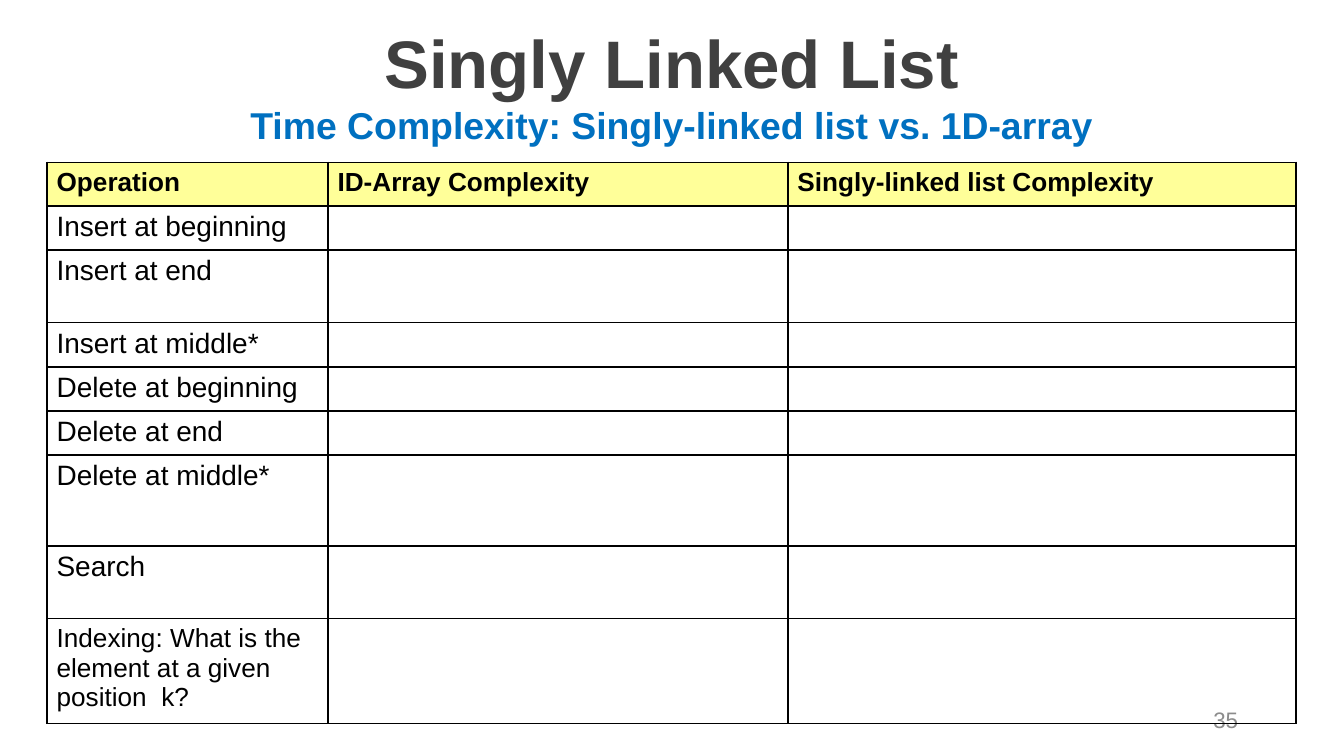
from lxml import etree
from pptx import Presentation
from pptx.dml.color import RGBColor
from pptx.enum import text
from pptx.oxml.ns import qn
from pptx.util import Cm, Pt

COLORS = {
    "title": "404040",
    "subtitle": "0070C0",
    "page": "8C8C8C",
    "ink": "000000",
    "header": "FFFF99",
}


def write(frame, words, size, color, bold=False, align=text.PP_ALIGN.LEFT):
    paragraph = frame.paragraphs[0]
    paragraph.alignment = align
    run = paragraph.add_run()
    run.text = words
    run.font.name = "Arial"
    run.font.size = Pt(size)
    run.font.bold = bold
    run.font.color.rgb = RGBColor.from_string(COLORS[color])


def add_borders(cell):
    properties = cell._tc.get_or_add_tcPr()
    for side in ("a:lnL", "a:lnR", "a:lnT", "a:lnB"):
        line = etree.SubElement(properties, qn(side), w=str(Pt(1)))
        fill = etree.SubElement(line, qn("a:solidFill"))
        etree.SubElement(fill, qn("a:srgbClr"), val=COLORS["ink"])


prs = Presentation()
prs.slide_width, prs.slide_height = Cm(25.4), Cm(14.29)
slide = prs.slides.add_slide(prs.slide_layouts[5])

# Headings
title = slide.shapes.title
title.left, title.top, title.width, title.height = Cm(0), Cm(0.36), Cm(25.4), Cm(1.6)
subtitle = slide.shapes.add_textbox(Cm(0), Cm(1.96), Cm(25.4), Cm(0.79))
for heading, words, size, color in (
    (title, "Singly Linked List", 36, "title"),
    (subtitle, "Time Complexity: Singly-linked list vs. 1D-array", 20, "subtitle"),
):
    frame = heading.text_frame
    frame.word_wrap = True
    frame.auto_size = text.MSO_AUTO_SIZE.NONE
    frame.vertical_anchor = text.MSO_ANCHOR.MIDDLE
    write(frame, words, size, color, True, text.PP_ALIGN.CENTER)

# Page number
page = slide.shapes.add_textbox(Cm(17.93), Cm(13.23), Cm(5.72), Cm(0.76)).text_frame
page.word_wrap = True
page.vertical_anchor = text.MSO_ANCHOR.MIDDLE
write(page, "35", 12, "page", align=text.PP_ALIGN.RIGHT)

# Complexity table: operation, row height, text size
headers = ["Operation", "ID-Array Complexity", "Singly-linked list Complexity"]
operations = [
    ("Insert at beginning", 0.82, 15),
    ("Insert at end", 1.37, 15),
    ("Insert at middle*", 0.82, 15),
    ("Delete at beginning", 0.82, 15),
    ("Delete at end", 0.82, 15),
    ("Delete at middle*", 1.72, 15),
    ("Search", 1.37, 15),
    ("Indexing: What is the element at a given position  k?", 1.91, 14),
]
rows = [(headers, 0.82, 14)]
rows += [([name, "", ""], height, size) for name, height, size in operations]
column_widths = [5.31, 8.69, 9.6]

complexity = slide.shapes.add_table(
    len(rows), len(headers), Cm(0.89), Cm(3.07),
    Cm(sum(column_widths)), Cm(sum(height for _, height, _ in rows)),
).table
complexity.first_row = complexity.horz_banding = False
for column, width in zip(complexity.columns, column_widths):
    column.width = Cm(width)

for r, (entries, height, size) in enumerate(rows):
    complexity.rows[r].height = Cm(height)
    for c, entry in enumerate(entries):
        cell = complexity.cell(r, c)
        cell.margin_left = cell.margin_right = Cm(0.18)
        cell.margin_top = cell.margin_bottom = Cm(0.1)
        add_borders(cell)
        if r == 0:
            cell.fill.solid()
            cell.fill.fore_color.rgb = RGBColor.from_string(COLORS["header"])
        else:
            cell.fill.background()
        if entry:
            write(cell.text_frame, entry, size, "ink", bold=r == 0)
        else:
            # Keeps an empty cell from stretching its row
            blank = cell.text_frame.paragraphs[0]._p
            etree.SubElement(blank, qn("a:endParaRPr"), sz=str(size * 100))

prs.save("out.pptx")
